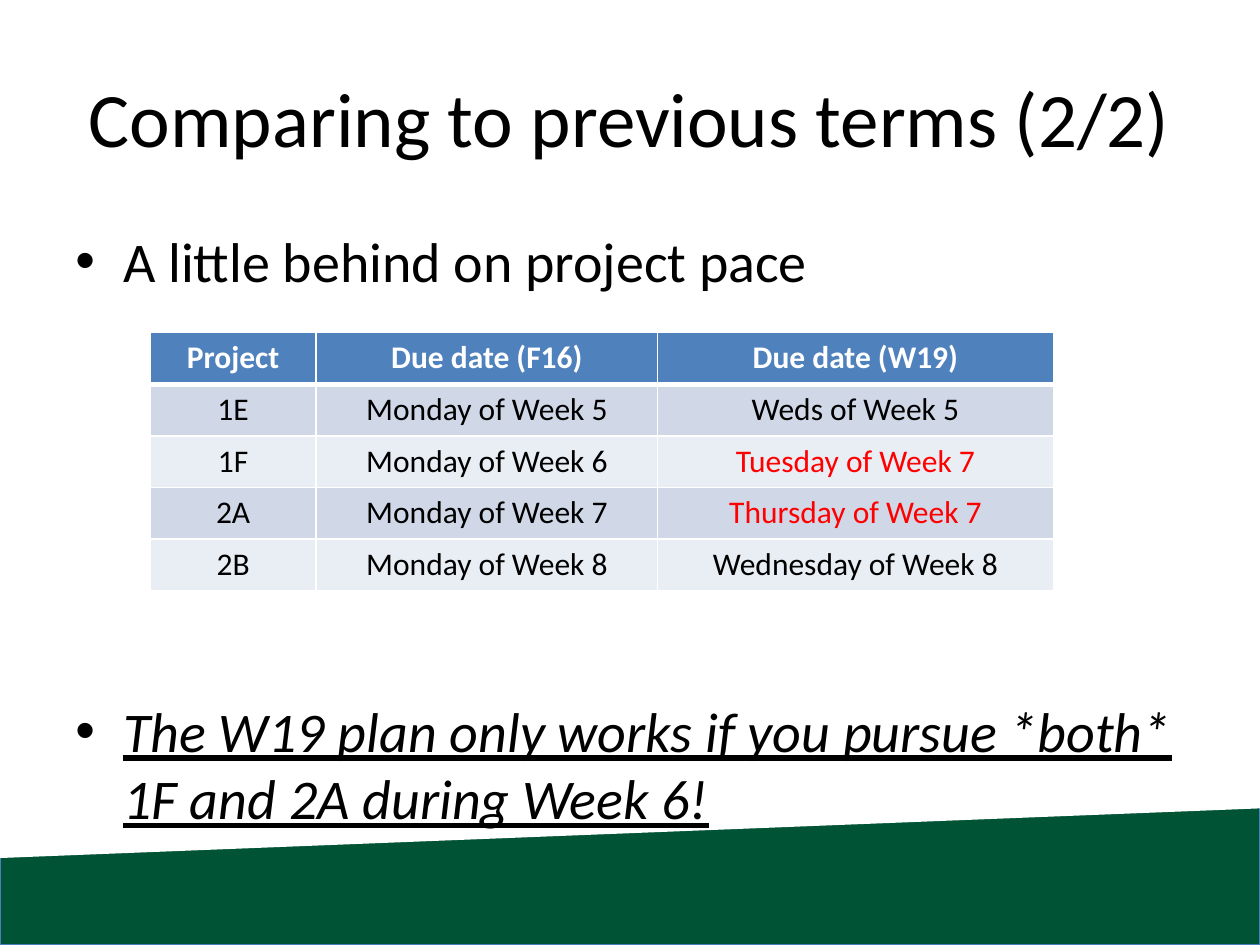
from lxml import etree
from pptx import Presentation
from pptx.dml.color import RGBColor
from pptx.enum.shapes import MSO_SHAPE
from pptx.enum.text import MSO_ANCHOR, PP_ALIGN
from pptx.oxml.ns import qn
from pptx.util import Inches, Pt

RECT, SLANT = MSO_SHAPE.RECTANGLE, MSO_SHAPE.PARALLELOGRAM
MIDDLE, TOP = MSO_ANCHOR.MIDDLE, MSO_ANCHOR.TOP
CENTER, LEFT = PP_ALIGN.CENTER, PP_ALIGN.LEFT
BLACK, WHITE, RED = "000000", "FFFFFF", "FF0000"
GREEN, EDGE, HEADER = "005334", "4B7EBC", "4F81BD"
BANDS = ("D0D8E8", "E9EDF4")

ROWS = [
    ("Project", "Due date (F16)", "Due date (W19)"),
    ("1E", "Monday of Week 5", "Weds of Week 5"),
    ("1F", "Monday of Week 6", "Tuesday of Week 7"),
    ("2A", "Monday of Week 7", "Thursday of Week 7"),
    ("2B", "Monday of Week 8", "Wednesday of Week 8"),
]
LATE = {"Tuesday of Week 7", "Thursday of Week 7"}


def rgb(value):
    return RGBColor.from_string(value)


def write(p, text, size=32, color=BLACK, align=LEFT, before=0, bullet=False,
          bold=False, italic=False, underline=False):
    p.alignment = align
    p.space_before = Pt(before)
    if bullet:
        pPr = p._p.get_or_add_pPr()
        pPr.set("marL", str(Inches(0.38)))
        pPr.set("indent", str(-Inches(0.38)))
        etree.SubElement(pPr, qn("a:buFont"), typeface="Arial")
        etree.SubElement(pPr, qn("a:buChar"), char="•")
    r = p.add_run()
    r.text = text
    font = r.font
    font.name, font.size, font.color.rgb = "Calibri", Pt(size), rgb(color)
    font.bold, font.italic, font.underline = bold, italic, underline


class Deck:
    """Holds the presentation and its current slide."""

    def __init__(self, width, height):
        self.prs = Presentation()
        self.prs.slide_width, self.prs.slide_height = Inches(width), Inches(height)
        self.s = self.prs.slides.add_slide(self.prs.slide_layouts[6])

    def shape(self, kind, box, fill, line=None):
        sp = self.s.shapes.add_shape(kind, *map(Inches, box))
        sp.shadow.inherit = False
        sp.fill.solid()
        sp.fill.fore_color.rgb = rgb(fill)
        if line:
            sp.line.color.rgb, sp.line.width = rgb(line), Pt(0.75)
        else:
            sp.line.fill.background()
        return sp

    def text(self, box, paragraphs, anchor=TOP):
        tf = self.s.shapes.add_textbox(*map(Inches, box)).text_frame
        tf.word_wrap, tf.vertical_anchor = True, anchor
        for i, (text, style) in enumerate(paragraphs):
            write(tf.add_paragraph() if i else tf.paragraphs[0], text, **style)

    def border(self, cell, bottom):
        tcPr = cell._tc.get_or_add_tcPr()
        widths = {"a:lnL": 1, "a:lnR": 1, "a:lnT": 1, "a:lnB": bottom}
        for i, (tag, width) in enumerate(widths.items()):
            ln = etree.Element(qn(tag), w=str(Pt(width)))
            fill = etree.SubElement(ln, qn("a:solidFill"))
            etree.SubElement(fill, qn("a:srgbClr"), val=WHITE)
            tcPr.insert(i, ln)

    def table(self, left, top, widths, row_height, rows):
        box = left, top, sum(widths), row_height * len(rows)
        table = self.s.shapes.add_table(len(rows), len(widths), *map(Inches, box)).table
        for column, width in zip(table.columns, widths):
            column.width = Inches(width)
        for i, row in enumerate(rows):
            head = i == 0
            for j, text in enumerate(row):
                cell = table.cell(i, j)
                cell.fill.solid()
                cell.fill.fore_color.rgb = rgb(HEADER if head else BANDS[(i - 1) % 2])
                self.border(cell, 3 if head else 1)
                color = WHITE if head else RED if text in LATE else BLACK
                write(cell.text_frame.paragraphs[0], text, size=18, color=color,
                      align=CENTER, bold=head)


def main():
    deck = Deck(10, 7.5)
    deck.shape(RECT, (0, 5.61, 10, 1.89), GREEN, EDGE)
    slope = deck.shape(SLANT, (3.84, 0.65, 2.32, 10), WHITE)
    slope.adjustments[0] = 0.17
    slope.rotation = 90
    slope._element.spPr.xfrm.set("flipH", "1")
    deck.text((0.5, 0.3, 9, 1.25), [
        ("Comparing to previous terms (2/2)", dict(size=44, align=CENTER)),
    ], anchor=MIDDLE)
    deck.text((0.5, 1.75, 9, 4.95), [
        ("A little behind on project pace", dict(bullet=True)),
        ("The W19 plan only works if you pursue *both* 1F and 2A during Week 6!",
         dict(bullet=True, before=230, italic=True, underline=True)),
    ])
    deck.table(1.19, 2.64, (1.32, 2.71, 3.14), 0.41, ROWS)
    deck.prs.save("out.pptx")


if __name__ == "__main__":
    main()
